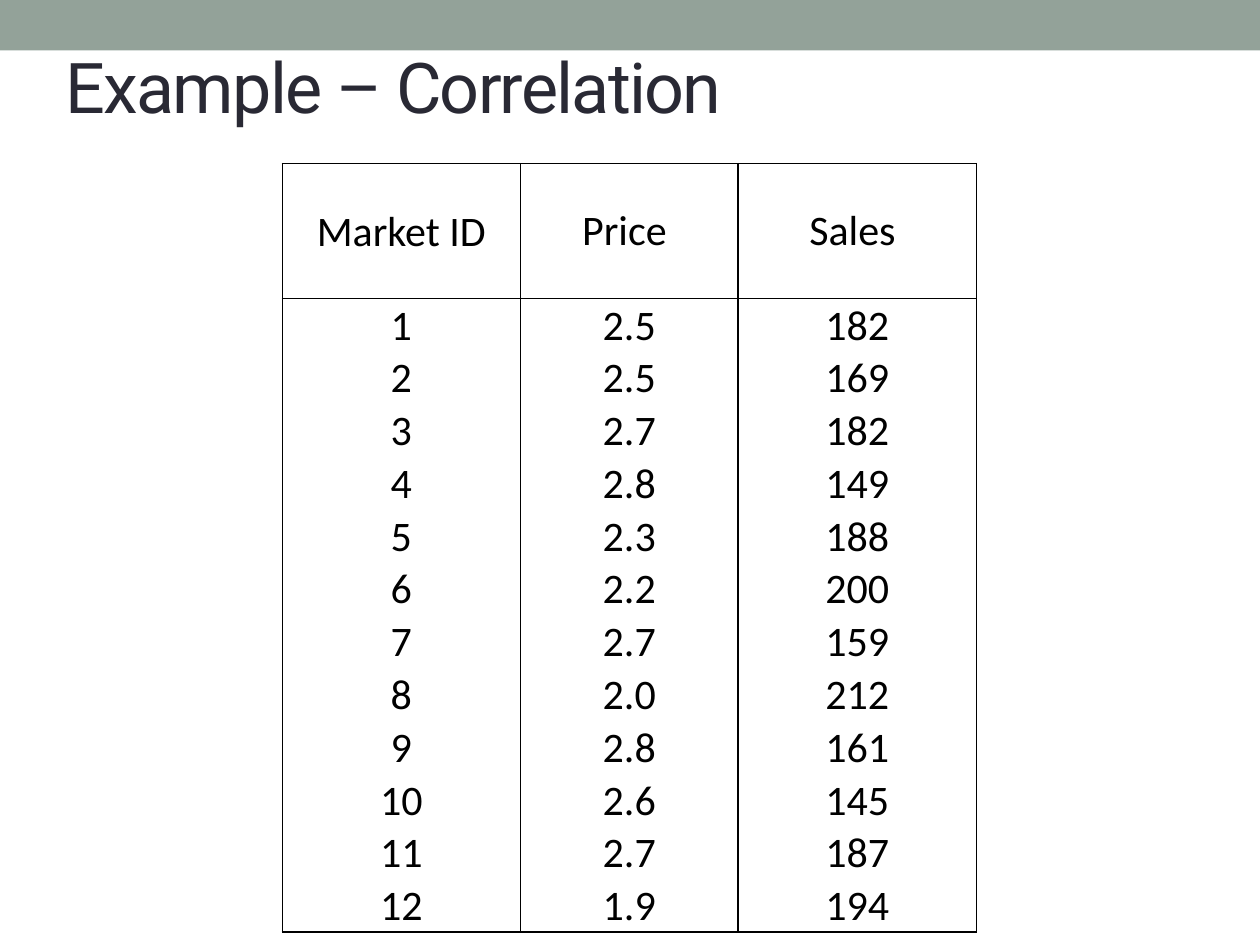
import pptx
import pptx.dml.color
import pptx.enum.shapes
import pptx.enum.text
import pptx.oxml
import pptx.oxml.ns
import pptx.util

Cm, Pt = pptx.util.Cm, pptx.util.Pt
ALIGN = pptx.enum.text.PP_ALIGN
ANCHOR = pptx.enum.text.MSO_ANCHOR

HEADINGS = ("Market ID", "Price ", "Sales ")
PRICES = ("2.5", "2.5", "2.7", "2.8", "2.3", "2.2", "2.7", "2.0", "2.8", "2.6", "2.7", "1.9")
SALES = (182, 169, 182, 149, 188, 200, 159, 212, 161, 145, 187, 194)
COLUMN_WIDTHS = (4.8, 4.39, 4.8)
HEADING_HEIGHT, ROW_HEIGHT = 2.72, 0.91


def colour(value):
    return pptx.dml.color.RGBColor.from_string(value)


def write(frame, text, font, size, ink, align, anchor, spacing=None):
    """Fill a text frame with one formatted paragraph."""
    frame.vertical_anchor = anchor
    frame.word_wrap = True
    para = frame.paragraphs[0]
    para.alignment = align
    span = para.add_run()
    span.text = text
    span.font.name = font
    span.font.size = Pt(size)
    span.font.color.rgb = colour(ink)
    if spacing is not None:
        span.font._element.set("spc", str(spacing * 100))


def set_borders(cell, sides, ink="000000", width=1):
    """Draw the named sides of a cell and clear the others."""
    properties = cell._tc.get_or_add_tcPr()
    for position, side in enumerate("LRTB"):
        paint = f'<a:solidFill><a:srgbClr val="{ink}"/></a:solidFill>' if side in sides else "<a:noFill/>"
        line = pptx.oxml.parse_xml(
            f'<a:ln{side} {pptx.oxml.ns.nsdecls("a")} w="{Pt(width)}">{paint}</a:ln{side}>')
        properties.insert(position, line)


def add_band(page, left, top, width, height):
    band = page.shapes.add_shape(pptx.enum.shapes.MSO_SHAPE.RECTANGLE,
                                 Cm(left), Cm(top), Cm(width), Cm(height))
    band.shadow.inherit = False
    band.fill.solid()
    band.fill.fore_color.rgb = colour("93A299")
    band.line.fill.background()
    page.shapes._spTree.insert(2, band._element)  # behind the title


def place_title(page, left, top, width, height):
    title = page.shapes.title
    title.left, title.top, title.width, title.height = Cm(left), Cm(top), Cm(width), Cm(height)
    write(title.text_frame, "Example – Correlation", font="Roboto", size=40, ink="292934",
          align=ALIGN.LEFT, anchor=ANCHOR.MIDDLE, spacing=-1)


def add_market_table(page, left, top, width, height):
    rows = [HEADINGS] + [(str(market), price, str(sales))
                         for market, (price, sales) in enumerate(zip(PRICES, SALES), 1)]
    box = page.shapes.add_table(len(rows), len(HEADINGS), Cm(left), Cm(top), Cm(width), Cm(height))
    table = box.table
    table.first_row = table.horz_banding = False
    for column, column_width in zip(table.columns, COLUMN_WIDTHS):
        column.width = Cm(column_width)

    last = len(rows) - 1
    for number, values in enumerate(rows):
        table.rows[number].height = Cm(ROW_HEIGHT if number else HEADING_HEIGHT)
        # Rules frame the heading row and the body as a whole
        sides = "LR" + ("T" if number <= 1 else "") + ("B" if number in (0, last) else "")
        for index, value in enumerate(values):
            cell = table.cell(number, index)
            inset = Cm(0 if index else 0.03)
            cell.margin_left = cell.margin_right = cell.margin_top = inset
            cell.margin_bottom = 0
            cell.fill.background()
            set_borders(cell, sides)
            anchor = ANCHOR.BOTTOM if number else ANCHOR.MIDDLE
            write(cell.text_frame, value, font="Calibri", size=24, ink="000000",
                  align=ALIGN.CENTER, anchor=anchor)
            cell.vertical_anchor = anchor
    box.height = Cm(height)


def main():
    deck = pptx.Presentation()
    deck.slide_width, deck.slide_height = Cm(25.4), Cm(19.05)
    page = deck.slides.add_slide(deck.slide_layouts[5])
    add_band(page, 0, 0, 25.4, 1.02)
    place_title(page, 1.07, 0.43, 22.86, 2.59)
    add_market_table(page, 5.69, 3.3, 13.99, 15.21)
    deck.save("out.pptx")


if __name__ == "__main__":
    main()
